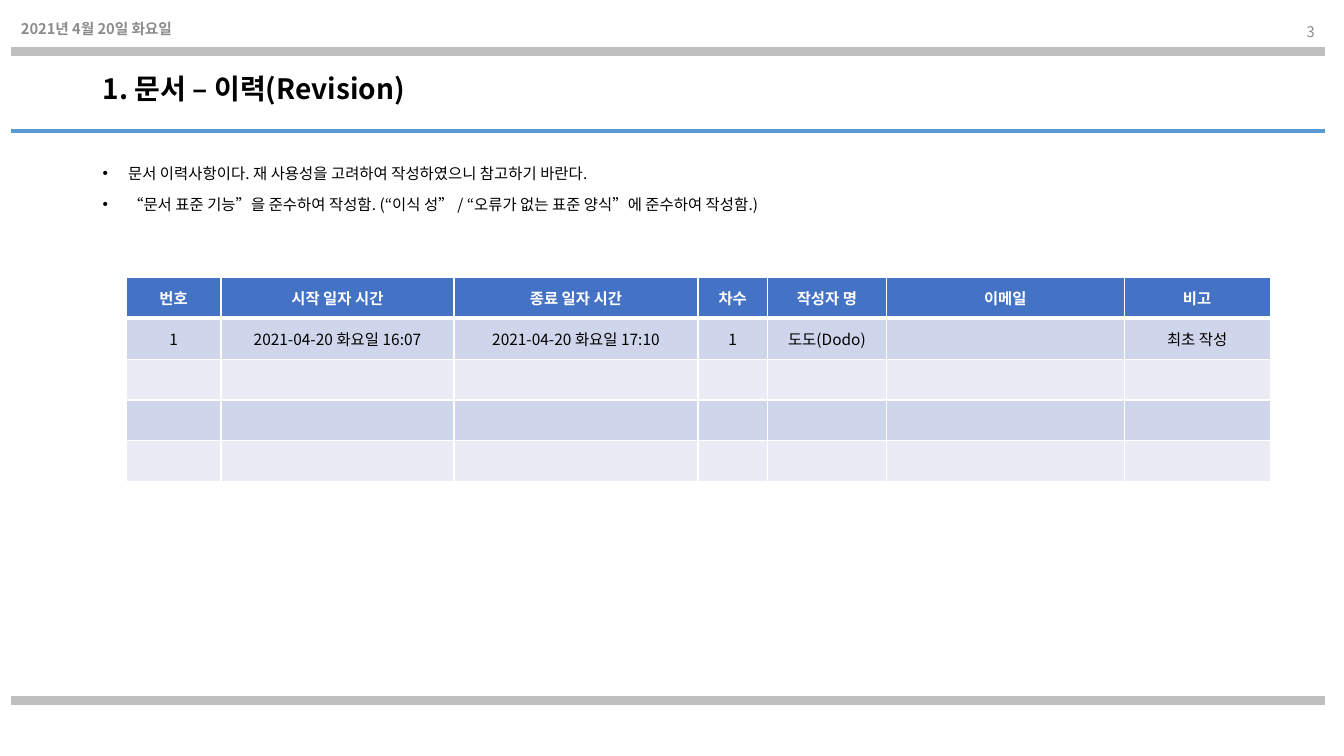
from dataclasses import dataclass

from lxml import etree
from pptx import Presentation
from pptx.dml.color import RGBColor
from pptx.enum.shapes import MSO_CONNECTOR
from pptx.enum.text import MSO_ANCHOR, PP_ALIGN
from pptx.oxml.ns import qn
from pptx.util import Cm, Pt

STRAIGHT = MSO_CONNECTOR.STRAIGHT
TOP, MIDDLE = MSO_ANCHOR.TOP, MSO_ANCHOR.MIDDLE
LEFT, CENTER, RIGHT = PP_ALIGN.LEFT, PP_ALIGN.CENTER, PP_ALIGN.RIGHT


@dataclass(frozen=True)
class Theme:
    font: str = "Noto Sans CJK KR"
    ink: str = "000000"
    white: str = "FFFFFF"
    muted: str = "8C8C8C"
    gray_rule: str = "BFBFBF"
    blue_rule: str = "5B9BD5"
    header: str = "4472C4"
    bands: tuple = ("CFD5EA", "E9EBF5")
    title_size: float = 20
    body_size: float = 11
    small_size: float = 10.5


THEME = Theme()
RULES = [(1.3, THEME.gray_rule, 6), (3.3, THEME.blue_rule, 3), (17.65, THEME.gray_rule, 6)]
BULLETS = [
    "문서 이력사항이다. 재 사용성을 고려하여 작성하였으니 참고하기 바란다.",
    "“문서 표준 기능”을 준수하여 작성함. (“이식 성” / “오류가 없는 표준 양식”에 준수하여 작성함.)",
]
COLUMNS = [
    ("번호", 2.39), ("시작 일자 시간", 5.87), ("종료 일자 시간", 6.15), ("차수", 1.75),
    ("작성자 명", 3), ("이메일", 5.99), ("비고", 3.68),
]
REVISIONS = [
    ["1", "2021-04-20 화요일 16:07", "2021-04-20 화요일 17:10", "1", "도도(Dodo)", "", "최초 작성"],
]
BLANK_ROWS = 3
ROW_HEIGHT = 1.03


def apply_format(target, values):
    for name, value in values.items():
        setattr(target, name, value)


def write_span(para, text, size, color, bold=False):
    span = para.add_run()
    span.text = text
    apply_format(span.font, {"name": THEME.font, "size": Pt(size), "bold": bold})
    span.font.color.rgb = RGBColor.from_string(color)
    east_asian = etree.SubElement(span.font._element, qn("a:ea"))
    east_asian.set("typeface", THEME.font)


def add_rule(page, y, color, width):
    rule = page.shapes.add_connector(STRAIGHT, Cm(0.28), Cm(y), Cm(33.38), Cm(y))
    rule.line.color.rgb = RGBColor.from_string(color)
    rule.line.width = Pt(width)
    etree.SubElement(rule._element.spPr, qn("a:effectLst"))


def add_bullet(para):
    properties = para._p.get_or_add_pPr()
    properties.set("marL", str(Cm(0.64)))
    properties.set("indent", str(-Cm(0.64)))
    etree.SubElement(properties, qn("a:buFont")).set("typeface", "Arial")
    etree.SubElement(properties, qn("a:buChar")).set("char", "•")


def add_text(page, frame, lines, size, color, bold=False, anchor=MIDDLE,
             para_format=None, bulleted=False):
    box = page.shapes.add_textbox(*(Cm(value) for value in frame))
    body = box.text_frame
    apply_format(body, {"word_wrap": True, "vertical_anchor": anchor})
    for index, line in enumerate(lines):
        para = body.add_paragraph() if index else body.paragraphs[0]
        apply_format(para, para_format or {})
        if bulleted:
            add_bullet(para)
        write_span(para, line, size, color, bold)


def set_borders(cell, widths):
    properties = cell._tc.get_or_add_tcPr()
    for side, width in widths.items():
        border = etree.SubElement(properties, qn(f"a:ln{side}"), w=str(Pt(width)))
        fill = etree.SubElement(border, qn("a:solidFill"))
        etree.SubElement(fill, qn("a:srgbClr"), val=THEME.white)


def fill_cell(cell, text, row):
    is_header = row == 0
    set_borders(cell, {"L": 1, "R": 1, "T": 3 if row == 1 else 1, "B": 3 if is_header else 1})
    cell.fill.solid()
    background = THEME.header if is_header else THEME.bands[(row - 1) % 2]
    cell.fill.fore_color.rgb = RGBColor.from_string(background)
    cell.vertical_anchor = MIDDLE
    para = cell.text_frame.paragraphs[0]
    para.alignment = CENTER
    if text:
        write_span(para, text, THEME.body_size, THEME.white if is_header else THEME.ink, is_header)
    else:
        etree.SubElement(para._p, qn("a:endParaRPr"), sz=str(THEME.body_size * 100))


def add_revision_table(page):
    rows = [[name for name, _ in COLUMNS], *REVISIONS]
    rows += [[""] * len(COLUMNS) for _ in range(BLANK_ROWS)]
    total_width = sum(width for _, width in COLUMNS)
    table = page.shapes.add_table(
        len(rows), len(COLUMNS), Cm(3.18), Cm(6.99), Cm(total_width), Cm(ROW_HEIGHT * len(rows))
    ).table
    for column, (_, width) in zip(table.columns, COLUMNS):
        column.width = Cm(width)
    for row, texts in enumerate(rows):
        table.rows[row].height = Cm(ROW_HEIGHT)
        for column, text in enumerate(texts):
            fill_cell(table.cell(row, column), text, row)


def main():
    deck = Presentation()
    apply_format(deck, {"slide_width": Cm(33.87), "slide_height": Cm(19.05)})
    page = deck.slides.add_slide(deck.slide_layouts[6])
    for y, color, width in RULES:
        add_rule(page, y, color, width)
    add_text(page, (2.34, 1.3, 29.21, 1.98), ["1. 문서 – 이력(Revision)"],
             THEME.title_size, THEME.ink, bold=True, para_format={"line_spacing": 0.9})
    add_text(page, (0.28, 0.2, 7.62, 1.02), ["2021년 4월 20일 화요일"],
             THEME.small_size, THEME.muted, bold=True, para_format={"alignment": LEFT})
    add_text(page, (25.76, 0.28, 7.62, 1.02), ["3"],
             THEME.small_size, THEME.muted, para_format={"alignment": RIGHT})
    add_text(page, (2.34, 4.06, 29.21, 2.13), BULLETS, THEME.body_size, THEME.ink, anchor=TOP,
             para_format={"line_spacing": 0.9, "space_before": Pt(10)}, bulleted=True)
    add_revision_table(page)
    deck.save("out.pptx")


if __name__ == "__main__":
    main()
